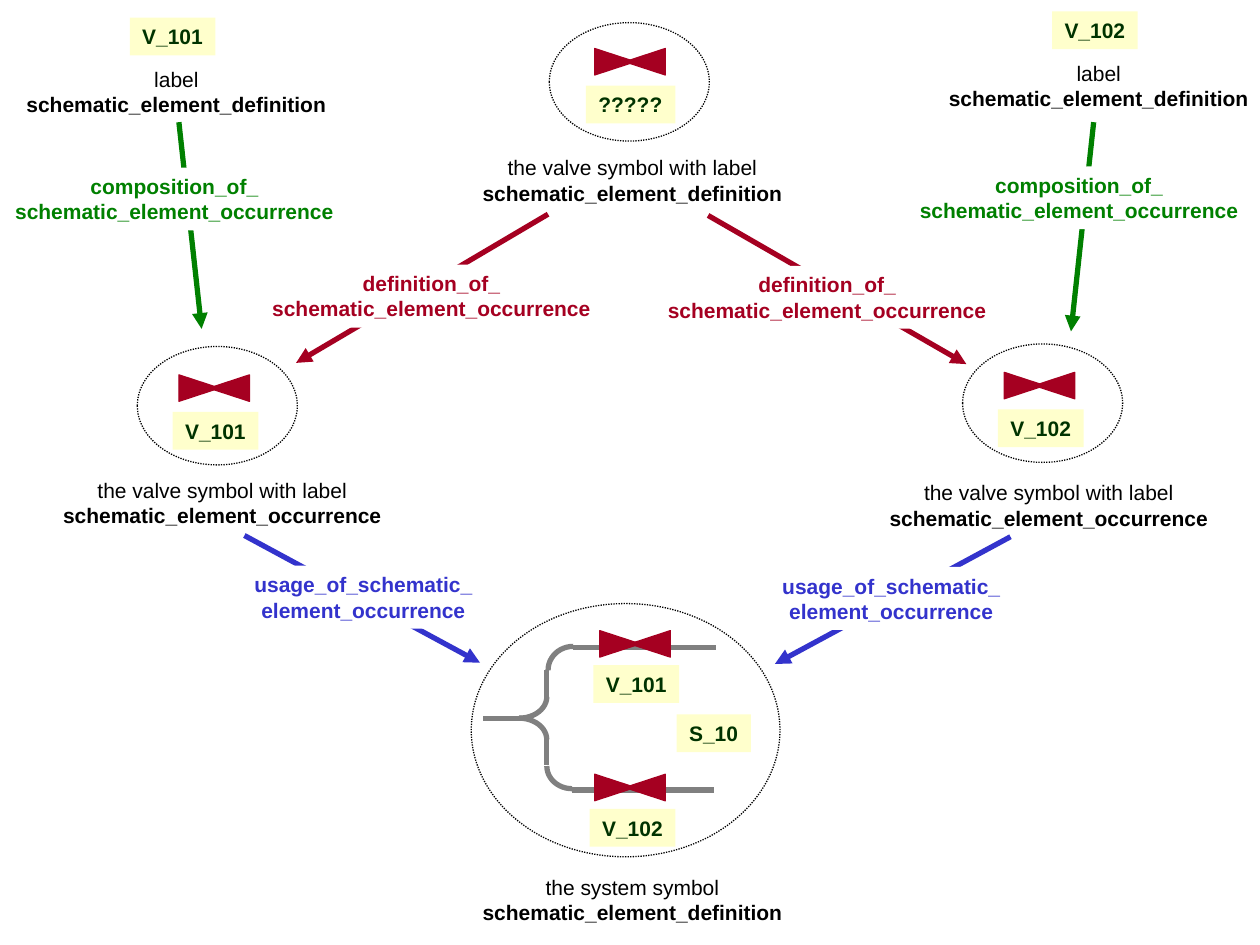
from lxml import etree
from pptx import Presentation
from pptx.dml.color import RGBColor
from pptx.enum.dml import MSO_LINE_DASH_STYLE as Dash
from pptx.enum.shapes import MSO_CONNECTOR as Connector, MSO_SHAPE as Shape
from pptx.enum.text import MSO_ANCHOR as Anchor, PP_ALIGN as Align
from pptx.oxml.ns import qn
from pptx.util import Inches, Pt

COLORS = {
    "background": "FFFFFF",
    "text": "000000",
    "tag_fill": "FFFFCC",
    "tag_text": "003300",
    "definition": "A50021",
    "composition": "008000",
    "usage": "3333CC",
    "pipe": "808080",
}
DEFINITION = "schematic_element_definition"
OCCURRENCE = "schematic_element_occurrence"
VALVE_LABEL = "the valve symbol with label"
TAG_HEIGHT = 0.3
TEXT_HEIGHT = 0.5


def color(name):
    return RGBColor.from_string(COLORS[name])


def add_preset(shapes, kind, box, fill=None, line=None, width=0.75):
    shape = shapes.add_shape(kind, *map(Inches, box))
    shape.shadow.inherit = False
    if fill:
        shape.fill.solid()
        shape.fill.fore_color.rgb = color(fill)
    else:
        shape.fill.background()
    if line:
        shape.line.color.rgb = color(line)
        shape.line.width = Pt(width)
    else:
        shape.line.fill.background()
    return shape


def write_lines(shape, lines, text_color, align, plain_first=False):
    frame = shape.text_frame
    frame.word_wrap = False
    frame.vertical_anchor = Anchor.TOP
    frame.text = "\n".join(lines)
    for index, paragraph in enumerate(frame.paragraphs):
        paragraph.alignment = align
        font = paragraph.runs[0].font
        font.name = "Arial"
        font.size = Pt(12)
        font.bold = not (plain_first and index == 0)
        font.color.rgb = color(text_color)


def add_tag(shapes, left, top, text, width=0.68):
    shape = add_preset(shapes, Shape.RECTANGLE, (left, top, width, TAG_HEIGHT), "tag_fill")
    write_lines(shape, [text], "tag_text", Align.LEFT)


def add_caption(shapes, left, top, width, lines):
    box = shapes.add_textbox(*map(Inches, (left, top, width, TEXT_HEIGHT)))
    write_lines(box, lines, "text", Align.CENTER, plain_first=True)


def add_relation_label(shapes, left, top, width, lines, text_color):
    box = (left, top, width, TEXT_HEIGHT)
    shape = add_preset(shapes, Shape.RECTANGLE, box, "background")
    write_lines(shape, lines, text_color, Align.CENTER)


def add_line(shapes, start, end, line_color, arrow=False):
    """Draw a line; an arrow has its tip at the start point."""
    points = map(Inches, (*start, *end))
    connector = shapes.add_connector(Connector.STRAIGHT, *points)
    connector.line.color.rgb = color(line_color)
    connector.line.width = Pt(3)
    if arrow:
        line = connector.line._get_or_add_ln()
        etree.SubElement(line, qn("a:headEnd"), type="triangle")
    etree.SubElement(connector._element.spPr, qn("a:effectLst"))


def add_arc(shapes, center, radii, start_angle):
    """Draw a quarter of an ellipse, clockwise from start_angle in degrees."""
    (x, y), (rx, ry) = center, radii
    box = (x - rx, y - ry, 2 * rx, 2 * ry)
    arc = add_preset(shapes, Shape.ARC, box, line="pipe", width=3)
    # Angles are 60000ths of a degree, adjustments are 100000ths
    arc.adjustments[0] = start_angle * 0.6
    arc.adjustments[1] = (start_angle + 90) % 360 * 0.6


def add_valve(shapes, x, y):
    """Draw two triangles that point at each other around a centre."""
    width, height = 0.21, 0.32
    for offset, rotation in ((0.12, 270), (-0.12, 90)):
        box = (x + offset - width / 2, y - height / 2, width, height)
        triangle = add_preset(shapes, Shape.ISOSCELES_TRIANGLE, box, "definition", "definition")
        triangle.rotation = rotation


def add_outline(shapes, *box):
    ellipse = add_preset(shapes, Shape.OVAL, box, line="text")
    ellipse.line.dash_style = Dash.ROUND_DOT


def add_valve_symbol(slide, left, top, valve, tag):
    shapes = slide.shapes.add_group_shape().shapes
    add_outline(shapes, left, top, 1.27, 0.94)
    add_valve(shapes, *valve)
    add_tag(shapes, *tag)


def add_system_symbol(slide):
    shapes = slide.shapes.add_group_shape().shapes
    add_outline(shapes, 3.74, 4.79, 2.45, 2.01)
    # Pipes: inlet, two risers and two outlets
    for start, end in (
        ((4.14, 5.7), (3.83, 5.7)),
        ((4.34, 5.56), (4.34, 5.32)),
        ((4.34, 6.07), (4.34, 5.86)),
        ((4.55, 5.14), (5.68, 5.14)),
        ((4.54, 6.27), (5.67, 6.27)),
    ):
        add_line(shapes, start, end, "pipe")
    # Bends
    add_arc(shapes, (4.12, 5.53), (0.22, 0.17), 0)
    add_arc(shapes, (4.12, 5.87), (0.22, 0.17), 270)
    add_arc(shapes, (4.55, 5.32), (0.2, 0.19), 180)
    add_arc(shapes, (4.54, 6.08), (0.2, 0.18), 90)
    # Valves and tags
    add_valve(shapes, 5.04, 5.11)
    add_valve(shapes, 5, 6.25)
    add_tag(shapes, 4.71, 5.28, "V_101")
    add_tag(shapes, 4.68, 6.42, "V_102")
    add_tag(shapes, 5.37, 5.67, "S_10", 0.59)


def main():
    presentation = Presentation()
    presentation.slide_width = Inches(10)
    presentation.slide_height = Inches(7.5)
    slide = presentation.slides.add_slide(presentation.slide_layouts[6])
    shapes = slide.shapes

    # Relations: arrow tip, arrow tail, label position and width
    definition = ["definition_of_", OCCURRENCE]
    composition = ["composition_of_", OCCURRENCE]
    usage = ["usage_of_schematic_", "element_occurrence"]
    for tip, tail, label, lines, line_color in (
        ((2.35, 2.88), (4.35, 1.7), (2.06, 2.1, 2.73), definition, "definition"),
        ((7.67, 2.89), (5.62, 1.71), (5.2, 2.11, 2.73), definition, "definition"),
        ((1.6, 2.61), (1.42, 0.97), (0.02, 1.33, 2.73), composition, "composition"),
        ((8.5, 2.63), (8.68, 0.97), (7.2, 1.32, 2.73), composition, "composition"),
        ((3.81, 5.26), (1.94, 4.25), (1.92, 4.49, 1.93), usage, "usage"),
        ((6.15, 5.27), (8.02, 4.26), (6.11, 4.5, 1.93), usage, "usage"),
    ):
        add_line(shapes, tip, tail, line_color, arrow=True)
        add_relation_label(shapes, *label, lines, line_color)

    # Symbols
    add_valve_symbol(slide, 4.36, 0.18, (5, 0.49), (4.65, 0.68, "?????", 0.71))
    add_valve_symbol(slide, 1.09, 2.75, (1.7, 3.08), (1.37, 3.27, "V_101"))
    add_valve_symbol(slide, 7.64, 2.73, (8.25, 3.06), (7.92, 3.25, "V_102"))
    add_system_symbol(slide)

    # Label definitions at the top corners
    add_tag(shapes, 1.03, 0.14, "V_101")
    add_tag(shapes, 8.35, 0.09, "V_102")

    # Captions
    for left, top, width, lines in (
        (0.11, 0.48, 2.58, ["label", DEFINITION]),
        (7.43, 0.43, 2.58, ["label", DEFINITION]),
        (3.73, 1.18, 2.58, [VALVE_LABEL, DEFINITION]),
        (0.4, 3.74, 2.73, [VALVE_LABEL, OCCURRENCE]),
        (6.96, 3.76, 2.73, [VALVE_LABEL, OCCURRENCE]),
        (3.73, 6.89, 2.58, ["the system symbol", DEFINITION]),
    ):
        add_caption(shapes, left, top, width, lines)

    presentation.save("out.pptx")


if __name__ == "__main__":
    main()
